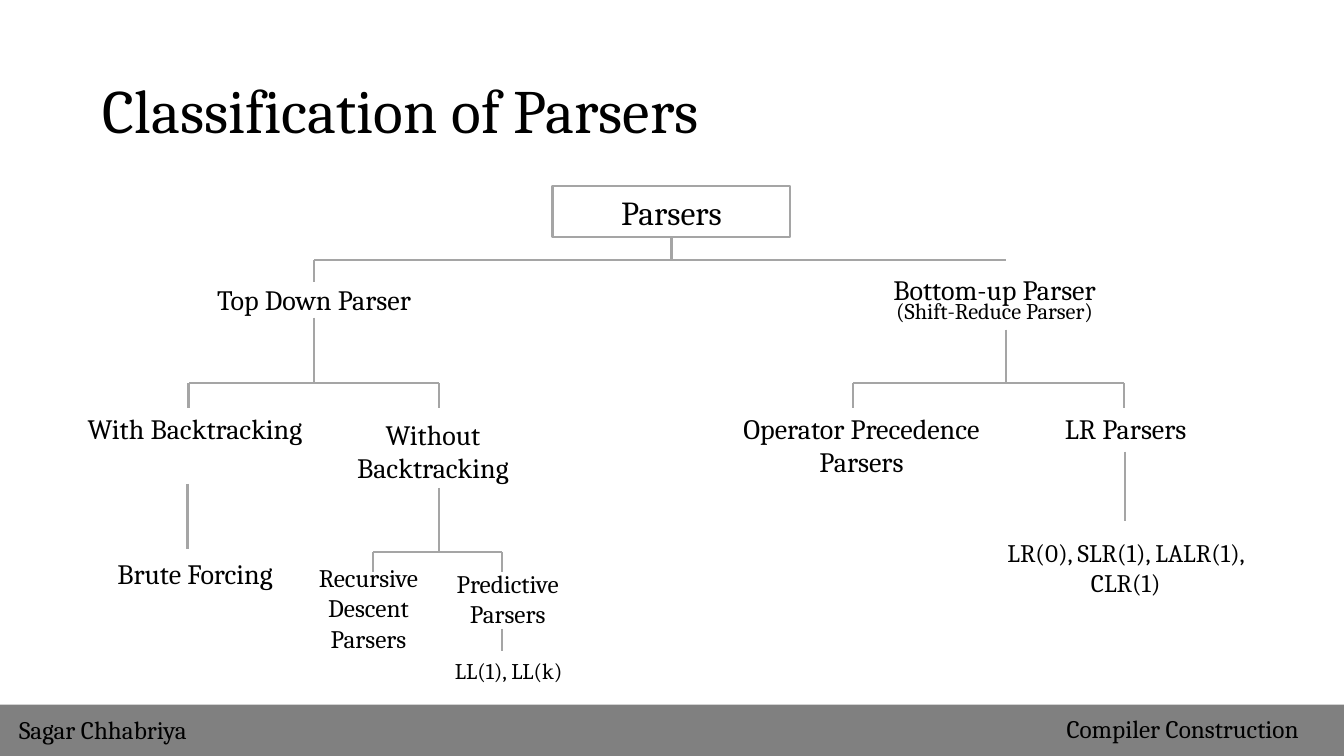
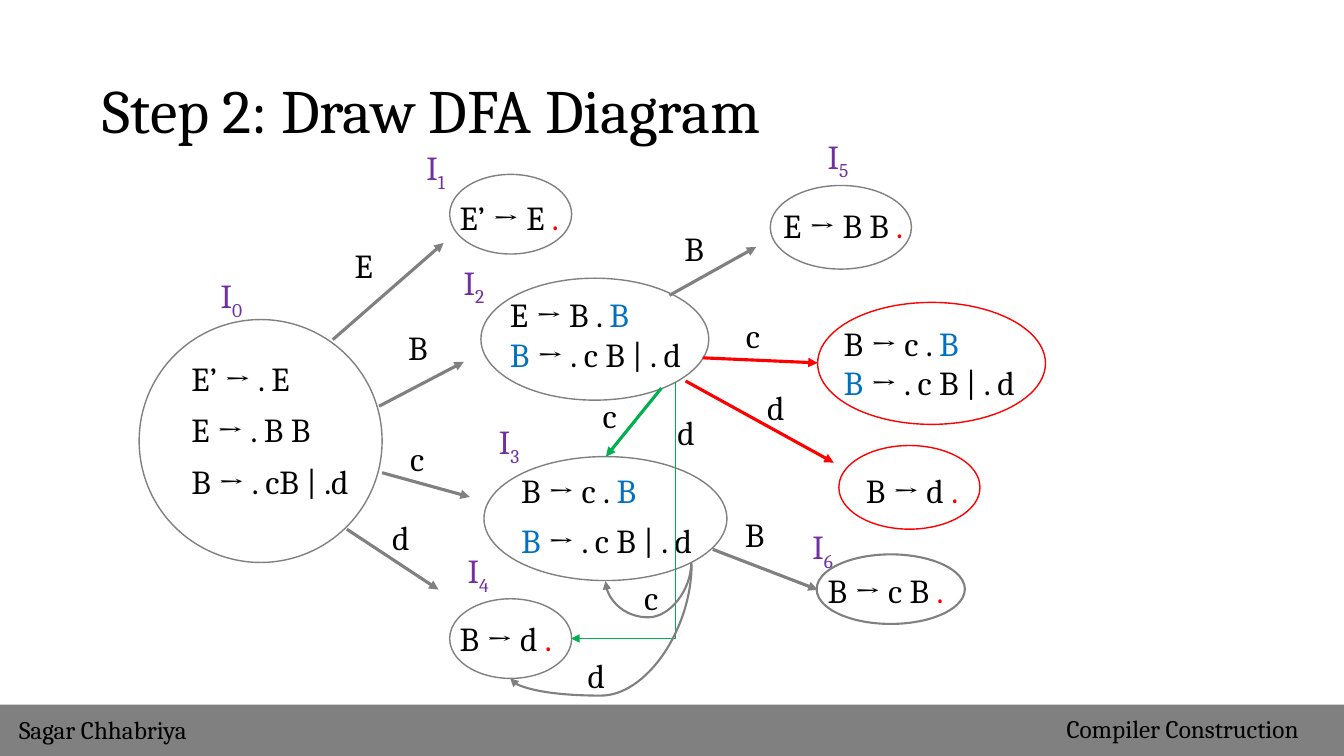
"""Build two slides on parsers: a class tree and a DFA diagram."""
from dataclasses import dataclass
from typing import NamedTuple

from lxml.etree import SubElement
from pptx import Presentation
from pptx.dml.color import RGBColor
from pptx.enum.shapes import MSO_CONNECTOR as Conn, MSO_SHAPE as Form
from pptx.enum.text import MSO_ANCHOR as Anchor, PP_ALIGN as Align
from pptx.oxml.ns import qn
from pptx.util import Inches, Pt

FONT = "Cambria"
INK, GREY, PALE = "000000", "808080", "A5A5A5"
RED, GREEN, BLUE, PLUM = "FF0000", "00B050", "0070C0", "7030A0"


class Run(NamedTuple):
    text: str
    hue: str = INK
    sub: bool = False


class Box(NamedTuple):
    left: float
    top: float
    wide: float
    high: float


@dataclass
class Label:
    text: str
    box: Box
    size: int = 20


@dataclass
class Fork:
    x: float
    top: float
    bar: float
    kids: tuple = ()


@dataclass
class Oval:
    box: Box
    hue: str = GREY
    width: float = 1


@dataclass
class Item:
    left: float
    top: float
    runs: tuple
    wide: float = 2


@dataclass
class Arrow:
    start: tuple
    end: tuple
    hue: str = GREY
    width: float = 2.25


@dataclass
class Bend:
    box: Box
    kind: Conn
    form: str
    hue: str
    width: float
    adj: int | None = None


def tint(code: str) -> RGBColor:
    return RGBColor.from_string(code)


def write(slide, box: Box, paras: list, size: int, align=Align.LEFT,
          anchor=Anchor.TOP, space: float = 1) -> None:
    frame = slide.shapes.add_textbox(*map(Inches, box)).text_frame
    frame.word_wrap, frame.vertical_anchor = True, anchor
    for num, runs in enumerate(paras):
        para = frame.add_paragraph() if num else frame.paragraphs[0]
        para.alignment, para.line_spacing = align, space
        for part in runs:
            run = para.add_run()
            run.text = part.text
            for key, val in {"name": FONT, "size": Pt(size)}.items():
                setattr(run.font, key, val)
            run.font.color.rgb = tint(part.hue)
            if part.sub:
                run.font._element.set("baseline", "-25000")


def shape(slide, form: Form, box: Box, fill: str = "", line: str = "",
          width: float = 1) -> None:
    item = slide.shapes.add_shape(form, *map(Inches, box))
    item.shadow.inherit = False
    if fill:
        item.fill.solid()
        item.fill.fore_color.rgb = tint(fill)
    else:
        item.fill.background()
    if line:
        item.line.color.rgb, item.line.width = tint(line), Pt(width)
    else:
        item.line.fill.background()


def link(slide, start: tuple, end: tuple, hue: str, width: float,
         head: bool = False, kind: Conn = Conn.STRAIGHT):
    line = slide.shapes.add_connector(kind, *map(Inches, (*start, *end)))
    line.line.color.rgb, line.line.width = tint(hue), Pt(width)
    if head:
        SubElement(line.line._get_or_add_ln(), qn("a:tailEnd"), type="triangle")
    SubElement(line.element.spPr, qn("a:effectLst"))
    return line


def bend(slide, arc: Bend) -> None:
    left, top, wide, high = arc.box
    line = link(slide, (left, top), (left + wide, top + high), arc.hue,
                arc.width, True, arc.kind)
    props = line.element.spPr
    props.find(qn("a:xfrm")).set("rot", "5400000")
    geom = props.find(qn("a:prstGeom"))
    geom.set("prst", arc.form)
    if arc.adj:
        guides = geom.find(qn("a:avLst"))
        if guides is None:
            guides = SubElement(geom, qn("a:avLst"))
        SubElement(guides, qn("a:gd"), name="adj1", fmla=f"val {arc.adj}")


def fork(slide, node: Fork) -> None:
    def rule(start: tuple, end: tuple) -> None:
        link(slide, start, end, PALE, 1.5)

    rule((node.x, node.top), (node.x, node.bar))
    for x, foot in node.kids:
        rule((node.x, node.bar), (x, node.bar))
        if foot > node.bar:
            rule((x, node.bar), (x, foot))


def page(deck, title: str):
    slide = deck.slides.add_slide(deck.slide_layouts[6])
    shape(slide, Form.RECTANGLE, Box(0, 6.99, 13.33, 0.51), GREY)
    write(slide, Box(0.09, 7.04, 1.99, 0.4), [[Run("Sagar Chhabriya")]], 18)
    write(slide, Box(10.48, 7.03, 2.8, 0.4), [[Run("Compiler Construction")]], 18)
    write(slide, Box(0.92, 0.4, 11.5, 1.45), [[Run(title)]], 44,
          anchor=Anchor.MIDDLE, space=0.9)
    return slide


ROOT = Box(5.48, 1.85, 2.36, 0.5)
LABELS = [
    Label("Parsers", ROOT, 24),
    Label("Top Down Parser", Box(1.93, 2.75, 2.37, 0.44)),
    Label("Bottom-up Parser", Box(8.68, 2.65, 2.37, 0.44)),
    Label("(Shift-Reduce Parser)", Box(8.68, 2.9, 2.37, 0.37), 16),
    Label("With Backtracking", Box(0.75, 4.03, 2.37, 0.77)),
    Label("Without\nBacktracking", Box(3.11, 4.09, 2.37, 0.77)),
    Label("Brute Forcing", Box(0.91, 5.47, 2.05, 0.44)),
    Label("Recursive Descent\nParsers", Box(2.81, 5.53, 1.69, 1.01), 18),
    Label("Predictive\nParsers", Box(4.19, 5.59, 1.69, 0.71), 18),
    Label("LL(1), LL(k)", Box(4.2, 6.47, 1.69, 0.37), 16),
    Label("Operator Precedence Parsers", Box(7.25, 4.03, 2.59, 0.77)),
    Label("LR Parsers", Box(9.87, 4.03, 2.59, 0.44)),
    Label("LR(0), SLR(1), LALR(1), CLR(1)", Box(9.87, 5.28, 2.59, 0.71), 18),
]
FORKS = [
    Fork(6.66, 2.35, 2.58, ((3.11, 2.8), (9.98, 2.58))),
    Fork(3.11, 3.15, 3.8, ((1.87, 4.05), (4.35, 4.05))),
    Fork(9.98, 3.27, 3.8, ((8.46, 4.05), (11.15, 4.05))),
    Fork(4.35, 4.84, 5.48, ((3.7, 5.67), (4.98, 5.67))),
    Fork(1.86, 4.8, 5.45),
    Fork(4.98, 6.24, 6.46),
    Fork(11.16, 4.48, 5.17),
]

OVALS = [
    Oval(Box(1.38, 3.17, 2.41, 2.41)),
    Oval(Box(4.46, 1.73, 1.21, 0.79)),
    Oval(Box(4.77, 2.76, 2.26, 1.21)),
    Oval(Box(4.8, 4.53, 2.41, 1.23)),
    Oval(Box(4.46, 5.94, 1.21, 0.79)),
    Oval(Box(7.64, 1.84, 1.4, 0.83)),
    Oval(Box(8.1, 5.5, 1.47, 0.69), width=1.5),
    Oval(Box(8.11, 3, 2.26, 1.21), RED),
    Oval(Box(8.32, 4.42, 1.4, 0.83), RED),
]
DOT, NEXT = Run(".", RED), Run("B", BLUE)
SHIFT = (Run("B → c . "), NEXT)
CLOSE = (Run("B ", BLUE), Run("→ . c B | . d"))
DONE = (Run("B → d "), DOT)
ITEMS = [
    Item(1.8, 3.5, (Run("E’ → . E"),)),
    Item(1.8, 4.01, (Run("E → . B B"),)),
    Item(1.8, 4.52, (Run("B → . cB | .d"),)),
    Item(4.46, 1.9, (Run("E’ → E "), DOT)),
    Item(4.96, 2.87, (Run("E → B . "), NEXT)),
    Item(4.96, 3.26, CLOSE),
    Item(5.07, 4.61, SHIFT),
    Item(5.07, 5.11, CLOSE),
    Item(4.46, 6.08, DONE),
    Item(7.67, 1.98, (Run("E → B B "), DOT)),
    Item(8.27, 3.15, SHIFT),
    Item(8.27, 3.54, CLOSE),
    Item(8.49, 4.61, DONE),
    Item(8.11, 5.6, (Run("B → c B "), DOT)),
]
STATES = [(2.09, 2.68), (4.13, 1.41), (4.5, 2.55), (4.85, 4.13),
          (4.54, 5.41), (8.11, 1.3), (7.96, 5.17)]
MARKS = {
    "E": [(3.42, 2.38)],
    "B": [(3.95, 3.19), (6.69, 2.21), (7.29, 5.05)],
    "c": [(3.97, 4.3), (7.3, 3.08), (5.88, 3.87), (6.29, 5.67)],
    "d": [(3.79, 5.08), (7.51, 3.79), (5.73, 6.45), (6.62, 4.04)],
}
ARROWS = [
    Arrow((3.3, 3.37), (4.4, 2.41)),
    Arrow((3.76, 4.03), (4.6, 3.59)),
    Arrow((3.79, 4.69), (4.66, 4.93)),
    Arrow((3.44, 5.25), (4.35, 5.85)),
    Arrow((6.64, 2.93), (7.5, 2.45)),
    Arrow((7.07, 5.45), (8.11, 5.85)),
    Arrow((6.97, 3.55), (8.11, 3.6), RED),
    Arrow((6.8, 3.78), (8.27, 4.59), RED),
    Arrow((6.56, 3.85), (6.01, 4.53), GREEN),
]
BENDS = [
    Bend(Box(4.91, 4.55, 2.54, 1.03), Conn.ELBOW, "bentConnector2", GREEN, 0.5),
    Bend(Box(6.34, 5.25, 0.18, 0.85), Conn.CURVE, "curvedConnector3", GREY, 1.5,
         299700),
    Bend(Box(5.39, 5.26, 1.14, 1.8), Conn.CURVE, "curvedConnector3", GREY, 1.5,
         115000),
]


def tree(deck) -> None:
    slide = page(deck, "Classification of Parsers")
    shape(slide, Form.RECTANGLE, ROOT, line=PALE, width=1.5)
    for label in LABELS:
        paras = [[Run(text)] for text in label.text.split("\n")]
        write(slide, label.box, paras, label.size, Align.CENTER)
    for node in FORKS:
        fork(slide, node)


def graph(deck) -> None:
    slide = page(deck, "Step 2: Draw DFA Diagram")
    for oval in OVALS:
        shape(slide, Form.OVAL, oval.box, line=oval.hue, width=oval.width)
    names = [Item(*spot, (Run("I", PLUM), Run(str(num), PLUM, True)), 0.5)
             for num, spot in enumerate(STATES)]
    marks = [Item(*spot, (Run(text),), 0.54)
             for text, spots in MARKS.items() for spot in spots]
    for item in ITEMS + names + marks:
        write(slide, Box(item.left, item.top, item.wide, 0.5), [item.runs], 24)
    for arrow in ARROWS:
        link(slide, arrow.start, arrow.end, arrow.hue, arrow.width, True)
    for arc in BENDS:
        bend(slide, arc)


def main() -> None:
    deck = Presentation()
    deck.slide_width, deck.slide_height = Inches(13.33), Inches(7.5)
    tree(deck)
    graph(deck)
    deck.save("out.pptx")


if __name__ == "__main__":
    main()
